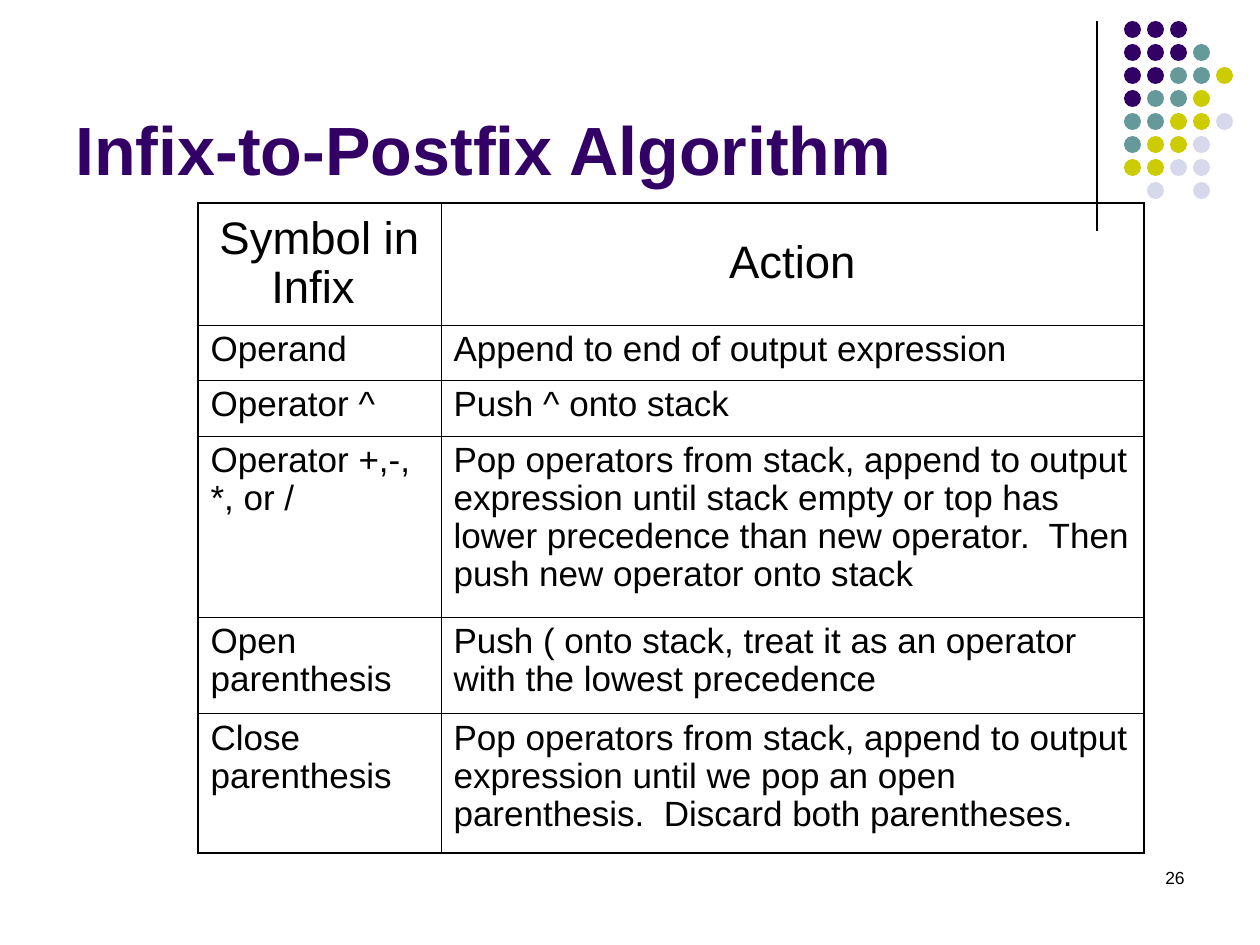
from dataclasses import dataclass

from lxml import etree
from pptx import Presentation
from pptx.dml.color import RGBColor
from pptx.enum.shapes import MSO_CONNECTOR, MSO_SHAPE
from pptx.enum.text import MSO_ANCHOR, PP_ALIGN
from pptx.oxml.ns import qn
from pptx.util import Pt

STRAIGHT = MSO_CONNECTOR.STRAIGHT
OVAL = MSO_SHAPE.OVAL
TOP, MIDDLE, BOTTOM = MSO_ANCHOR.TOP, MSO_ANCHOR.MIDDLE, MSO_ANCHOR.BOTTOM
LEFT, CENTER, RIGHT = PP_ALIGN.LEFT, PP_ALIGN.CENTER, PP_ALIGN.RIGHT
EMU_PER_PX = 914400 / 126


@dataclass(frozen=True)
class Theme:
    """Colours, type sizes and line widths of the slide."""

    font: str = "Arial"
    black: str = "000000"
    purple: str = "330066"
    teal: str = "669999"
    olive: str = "CCCC00"
    lavender: str = "D8D8EC"
    title_size: int = 39
    header_size: int = 26
    body_size: int = 20
    number_size: int = 10
    table_line_spacing: float = 0.97
    rule_width: float = 0.75
    outer_border: float = 1.08
    inner_border: float = 0.45


THEME = Theme()

DOT_COLORS = {"P": THEME.purple, "T": THEME.teal, "O": THEME.olive, "L": THEME.lavender}
DOT_ROWS = ["PPP", "PPPT", "PPTTO", "PTTO", "TTOOL", "TOOL", "OOLL", " L L"]
DOT_LEFT, DOT_TOP, DOT_PITCH, DOT_SIZE = 1124, 21, 23, 17

COLUMN_WIDTHS = [243, 703]
ROW_HEIGHTS = [122, 55, 56, 181, 97, 139]
ALGORITHM_ROWS = [
    ("Symbol in Infix ", "Action"),
    ("Operand", "Append to end of output expression"),
    ("Operator ^", "Push ^ onto stack"),
    (
        "Operator +,-,\n*, or /",
        "Pop operators from stack, append to output expression until stack empty "
        "or top has lower precedence than new operator.  Then push new operator onto stack",
    ),
    (
        "Open parenthesis",
        "Push ( onto stack, treat it as an operator with the lowest precedence",
    ),
    (
        "Close parenthesis",
        "Pop operators from stack, append to output expression until we pop "
        "an open parenthesis.  Discard both parentheses.",
    ),
]


def px(length):
    """Turn pixels into EMU."""
    return round(length * EMU_PER_PX)


def write_text(text_frame, text, size, color, align=LEFT, bold=False):
    """Fill the first paragraph of a text frame and format its runs."""
    text_frame.word_wrap = True
    paragraph = text_frame.paragraphs[0]
    paragraph.text = text
    paragraph.alignment = align
    for run in paragraph.runs:
        run.font.name = THEME.font
        run.font.size = Pt(size)
        run.font.bold = bold
        run.font.color.rgb = RGBColor.from_string(color)
    return paragraph


def add_text(slide, box, text, size, color, align=LEFT, anchor=TOP, bold=False):
    """Add a wrapping text box."""
    shape = slide.shapes.add_textbox(*map(px, box))
    shape.text_frame.vertical_anchor = anchor
    write_text(shape.text_frame, text, size, color, align, bold)


def add_rule(slide, x, top, bottom):
    """Add the thin vertical line beside the dots."""
    rule = slide.shapes.add_connector(STRAIGHT, px(x), px(top), px(x), px(bottom))
    rule.line.color.rgb = RGBColor.from_string(THEME.black)
    rule.line.width = Pt(THEME.rule_width)
    etree.SubElement(rule._element.spPr, qn("a:effectLst"))


def add_dots(slide):
    """Add the grid of coloured dots."""
    group = slide.shapes.add_group_shape()
    for row, pattern in enumerate(DOT_ROWS):
        for column, key in enumerate(pattern):
            if key not in DOT_COLORS:
                continue
            left = px(DOT_LEFT + column * DOT_PITCH)
            top = px(DOT_TOP + row * DOT_PITCH)
            dot = group.shapes.add_shape(OVAL, left, top, px(DOT_SIZE), px(DOT_SIZE))
            dot.shadow.inherit = False
            dot.fill.solid()
            dot.fill.fore_color.rgb = RGBColor.from_string(DOT_COLORS[key])
            dot.line.fill.background()


def set_borders(cell, outer_sides):
    """Draw all four cell borders, heavier on the outer sides."""
    properties = cell._tc.get_or_add_tcPr()
    for index, side in enumerate(("L", "R", "T", "B")):
        width = THEME.outer_border if side in outer_sides else THEME.inner_border
        line = etree.Element(qn(f"a:ln{side}"), w=str(Pt(width)))
        fill = etree.SubElement(line, qn("a:solidFill"))
        etree.SubElement(fill, qn("a:srgbClr"), val=THEME.black)
        properties.insert(index, line)


def find_outer_sides(row, column):
    """Name the sides of a cell that lie on the table's edge."""
    edges = {
        "L": column == 0,
        "R": column == len(COLUMN_WIDTHS) - 1,
        "T": row == 0,
        "B": row == len(ROW_HEIGHTS) - 1,
    }
    return [side for side, on_edge in edges.items() if on_edge]


def add_algorithm_table(slide, left, top):
    """Add the table of symbols and actions."""
    frame = slide.shapes.add_table(
        len(ROW_HEIGHTS), len(COLUMN_WIDTHS), px(left), px(top),
        px(sum(COLUMN_WIDTHS)), px(sum(ROW_HEIGHTS)),
    )
    table = frame.table
    table.horz_banding = False
    for column, width in zip(table.columns, COLUMN_WIDTHS):
        column.width = px(width)
    for row, height in zip(table.rows, ROW_HEIGHTS):
        row.height = px(height)
    for row, texts in enumerate(ALGORITHM_ROWS):
        is_header = row == 0
        size = THEME.header_size if is_header else THEME.body_size
        align = CENTER if is_header else LEFT
        for column, text in enumerate(texts):
            cell = table.cell(row, column)
            cell.fill.background()
            cell.vertical_anchor = MIDDLE if is_header else TOP
            paragraph = write_text(cell.text_frame, text, size, THEME.black, align)
            paragraph.line_spacing = THEME.table_line_spacing
            set_borders(cell, find_outer_sides(row, column))


def main():
    """Build the slide and save it."""
    presentation = Presentation()
    presentation.slide_width = px(1260)
    presentation.slide_height = px(945)
    slide = presentation.slides.add_slide(presentation.slide_layouts[6])
    add_rule(slide, 1097, 21, 231)
    add_dots(slide)
    add_text(slide, (903, 861, 294, 63), "26", THEME.number_size, THEME.black, RIGHT)
    add_text(slide, (63, 16, 1040, 179), "Infix-to-Postfix Algorithm",
             THEME.title_size, THEME.purple, anchor=BOTTOM, bold=True)
    add_algorithm_table(slide, 198, 203)
    presentation.save("out.pptx")


if __name__ == "__main__":
    main()
